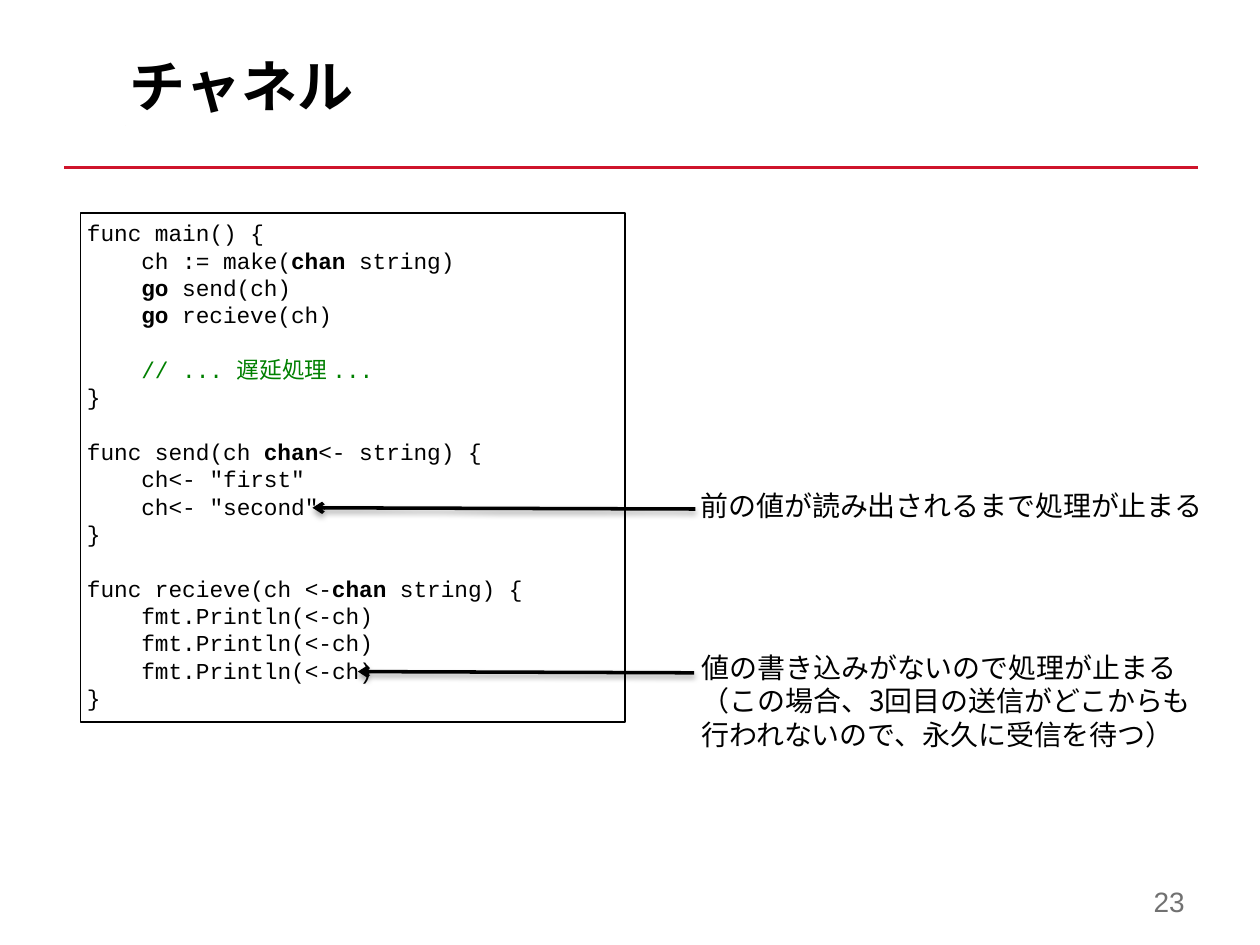
import pptx
import pptx.util
import pptx.dml.color
import pptx.enum.shapes
import pptx.enum.text
import pptx.oxml
import pptx.oxml.ns
from pptx.util import Inches, Pt

COLORS = {"red": "CF142B", "black": "000000", "comment": "008000", "number": "717171"}
JAPANESE, CODE = "Noto Sans CJK JP", "Courier New"
NAMESPACE = pptx.oxml.ns.nsdecls("a")
INDENT = "\u00a0" * 3 + " "


def color(name):
    return pptx.dml.color.RGBColor.from_string(COLORS[name])


def style(font, name, size, color_name):
    """Set typeface (Latin and East Asian), size and colour."""
    font.name, font.size = name, Pt(size)
    font.color.rgb = color(color_name)
    font._element.find(pptx.oxml.ns.qn("a:latin")).addnext(
        pptx.oxml.parse_xml(f'<a:ea {NAMESPACE} typeface="{JAPANESE}"/>'))


presentation = pptx.Presentation()
presentation.slide_width, presentation.slide_height = Inches(10), Inches(7.5)
slide = presentation.slides.add_slide(presentation.slide_layouts[5])
shapes = slide.shapes

# Title with its red mark and rule
title = shapes.title
title.left, title.top, title.width, title.height = map(Inches, (0.93, 0.36, 7.05, 0.7))
title.text_frame.text = "チャネル"
title.text_frame.vertical_anchor = pptx.enum.text.MSO_ANCHOR.TOP
paragraph = title.text_frame.paragraphs[0]
paragraph.alignment = pptx.enum.text.PP_ALIGN.LEFT
style(paragraph.font, JAPANESE, 32, "black")
paragraph.font.bold = True

rule = shapes.add_connector(pptx.enum.shapes.MSO_CONNECTOR.STRAIGHT,
                            Inches(0.51), Inches(1.33), Inches(9.51), Inches(1.33))
rule.line.color.rgb, rule.line.width = color("red"), Pt(2)
rule._element.spPr.append(pptx.oxml.parse_xml(f"<a:effectLst {NAMESPACE}/>"))

outline = [(0.56, 0.52), (0.93, 0.52), (0.94, 0.54), (0.94, 0.93), (0.95, 0.94),
           (0.98, 0.94), (0.99, 0.95), (0.99, 1), (0.98, 1.01), (0.94, 1.01),
           (0.93, 1), (0.93, 0.96), (0.92, 0.95), (0.56, 0.95), (0.54, 0.94), (0.54, 0.54)]
builder = shapes.build_freeform(*outline[0], scale=Inches(1))
builder.add_line_segments(outline[1:], close=True)
mark = builder.convert_to_shape()
mark.shadow.inherit = False
mark.fill.solid()
mark.fill.fore_color.rgb = color("red")
mark.line.fill.background()

# Code listing: each line is a list of (text, look) runs
code_lines = [
    [("func main() {", "")],
    [(INDENT + "ch := make(", ""), ("chan", "bold"), (" string)", "")],
    [(INDENT, ""), ("go", "bold"), (" send(ch)", "")],
    [(INDENT, ""), ("go ", "bold"), ("recieve(ch)", "")],
    [],
    [(INDENT, ""), ("// ... 遅延処理 ...", "comment")],
    [("}", "")],
    [],
    [("func send(ch ", ""), ("chan", "bold"), ("<- string) {", "")],
    [(INDENT + 'ch<- "first"', "")],
    [(INDENT + 'ch<- "second"', "")],
    [("}", "")],
    [],
    [("func recieve(ch <-", ""), ("chan", "bold"), (" string) {", "")],
    *[[(INDENT + "fmt.Println(<-ch)", "")]] * 3,
    [("}", "")],
]
listing = shapes.add_shape(pptx.enum.shapes.MSO_SHAPE.RECTANGLE,
                           Inches(0.64), Inches(1.69), Inches(4.32), Inches(4.04))
listing.shadow.inherit = False
listing.fill.background()
listing.line.color.rgb, listing.line.width = color("black"), Pt(0.75)
frame = listing.text_frame
frame.word_wrap = True
frame.vertical_anchor = pptx.enum.text.MSO_ANCHOR.TOP
frame.margin_left = frame.margin_right = frame.margin_top = frame.margin_bottom = Inches(0.05)
for index, runs in enumerate(code_lines):
    paragraph = frame.add_paragraph() if index else frame.paragraphs[0]
    paragraph.alignment = pptx.enum.text.PP_ALIGN.LEFT
    paragraph.line_spacing = Pt(15.63)
    style(paragraph.font, CODE, 13, "black")
    for text, look in runs:
        run = paragraph.add_run()
        run.text = text
        if look == "bold":
            run.font.bold = True
        elif look == "comment":
            run.font.color.rgb = color("comment")

# Remarks, each with an arrow to its code line
remarks = [
    ("前の値が読み出されるまで処理が止まる",
     (5.51, 3.83, 4.19, 0.37), (5.52, 4.04, 2.48, 4.03)),
    ("値の書き込みがないので処理が止まる\v（この場合、3回目の送信がどこからも\v"
     "行われないので、永久に受信を待つ）",
     (5.52, 5.11, 4.19, 0.91), (5.51, 5.34, 2.84, 5.33)),
]
for text, box, ends in remarks:
    arrow = shapes.add_connector(pptx.enum.shapes.MSO_CONNECTOR.STRAIGHT, *map(Inches, ends))
    arrow.line.color.rgb, arrow.line.width = color("black"), Pt(2)
    arrow.line._get_or_add_ln().append(
        pptx.oxml.parse_xml(f'<a:tailEnd {NAMESPACE} type="arrow"/>'))
    arrow._element.spPr.append(pptx.oxml.parse_xml(
        f'<a:effectLst {NAMESPACE}><a:outerShdw blurRad="{Pt(3)}" dist="{Pt(1.8)}" '
        f'dir="5400000" rotWithShape="0"><a:srgbClr val="{COLORS["black"]}">'
        '<a:alpha val="35000"/></a:srgbClr></a:outerShdw></a:effectLst>'))
    remark = shapes.add_textbox(*map(Inches, box))
    frame = remark.text_frame
    frame.word_wrap = True
    frame.margin_left = frame.margin_right = frame.margin_top = frame.margin_bottom = Inches(0.05)
    frame.text = text
    paragraph = frame.paragraphs[0]
    paragraph.line_spacing = Pt(19.2)
    style(paragraph.font, JAPANESE, 16, "black")

# Slide number
number = shapes.add_textbox(Inches(7.35), Inches(6.95), Inches(2.15), Inches(0.4))
number.text_frame.word_wrap = True
number.text_frame.vertical_anchor = pptx.enum.text.MSO_ANCHOR.MIDDLE
number.text_frame.text = "23"
paragraph = number.text_frame.paragraphs[0]
paragraph.alignment = pptx.enum.text.PP_ALIGN.RIGHT
style(paragraph.font, "Arial", 16, "number")

presentation.save("out.pptx")
